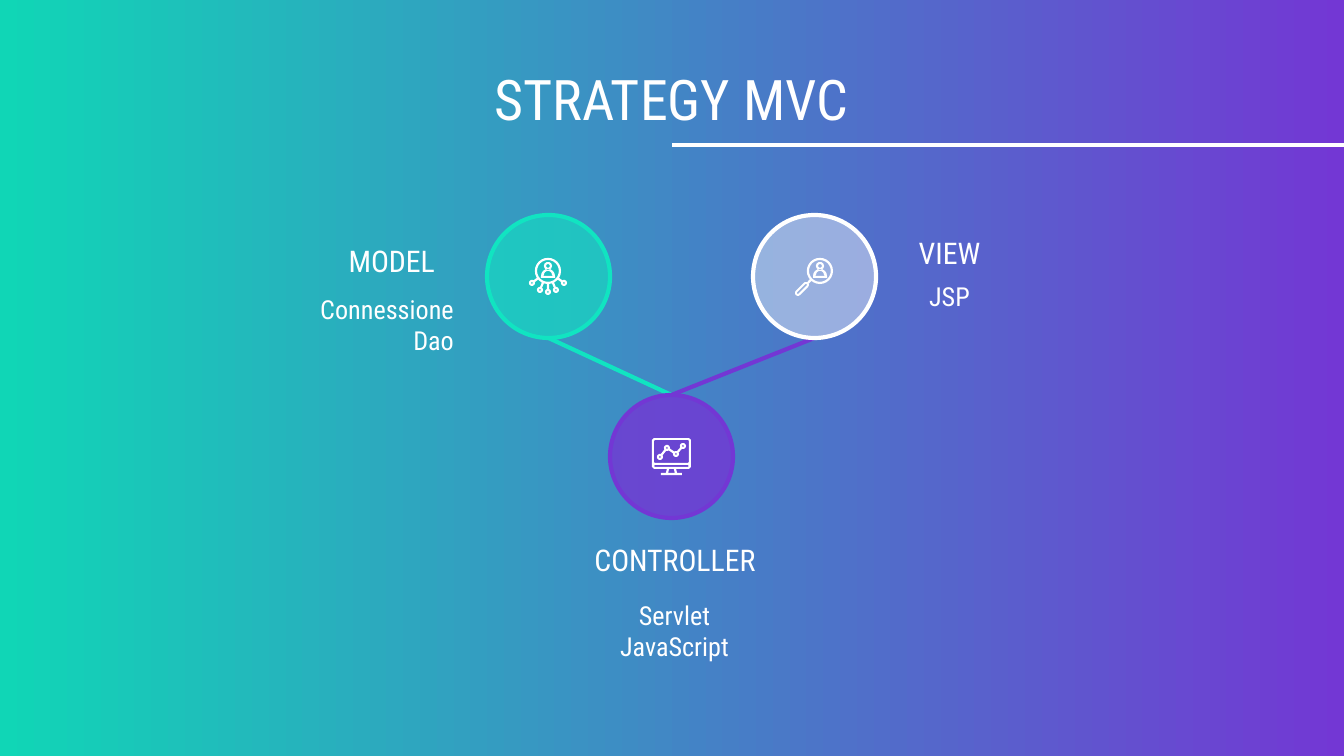
from dataclasses import dataclass
from math import atan2, cos, hypot, pi, sin

from lxml import etree
from pptx import Presentation
from pptx import util as u
from pptx.dml import color
from pptx.enum import shapes, text
from pptx.oxml import ns

PX = 9144000 / 1344
FONT = "Roboto Condensed"
COLORS = {"teal": "11E4C1", "purple": "7337D4", "white": "FFFFFF", "mint": "10D6B6"}
THICK = 2.25
DIAMETER, RING, DOT, HALF = 123, 12, 2, 1.1
ALIGN = text.PP_ALIGN
Point = tuple[float, float]
Contour = list[Point]


@dataclass
class Node:
    left: int
    top: int
    color: str
    alpha: int

    @property
    def bottom(self) -> Point:
        return self.left + DIAMETER / 2, self.top + DIAMETER


@dataclass
class Label:
    left: int
    top: int
    width: int
    height: int
    lines: tuple[str, ...]
    size: int
    align: ALIGN = ALIGN.CENTER
    inset: tuple[int, int, int, int] = (0, 1, 0, 0)
    anchor: text.MSO_ANCHOR = text.MSO_ANCHOR.TOP


def px(value: float) -> u.Emu:
    return u.Emu(round(value * PX))


def rgb(name: str) -> color.RGBColor:
    return color.RGBColor.from_string(COLORS[name])


def add_line(tree, start: Point, end: Point, name: str):
    sp = tree.add_connector(shapes.MSO_CONNECTOR.STRAIGHT, *map(px, (*start, *end)))
    sp.line.color.rgb = rgb(name)
    sp.line.width = u.Pt(THICK)
    etree.SubElement(sp._element.spPr, ns.qn("a:effectLst"))
    return sp


def add_node(tree, node: Node):
    box = map(px, (node.left, node.top, DIAMETER, DIAMETER))
    sp = tree.add_shape(shapes.MSO_SHAPE.OVAL, *box)
    sp.shadow.inherit = False
    sp.fill.solid()
    sp.fill.fore_color.rgb = rgb(node.color)
    clr = sp._element.spPr.find(ns.qn("a:solidFill"))[0]
    etree.SubElement(clr, ns.qn("a:alpha"), val=str(node.alpha * 1000))
    sp.line.color.rgb = rgb(node.color)
    sp.line.width = u.Pt(THICK)
    return sp


def arc(center: Point, radius: float, start: float, sweep: float, steps: int) -> Contour:
    angles = (start + sweep * i / steps for i in range(steps + 1))
    return [(center[0] + radius * cos(a), center[1] + radius * sin(a)) for a in angles]


def ring(center: Point, radius: int) -> list[Contour]:
    steps = 24 if radius > 5 else 10
    return [arc(center, r, 0, 2 * pi, steps)[:-1] for r in (radius + HALF, radius - HALF)]


def bar(a: Point, b: Point, trim_a: float = 0, trim_b: float = 0) -> Contour:
    d = hypot(b[0] - a[0], b[1] - a[1])
    ux, uy = (b[0] - a[0]) / d, (b[1] - a[1]) / d
    ends = ((trim_a, HALF), (d - trim_b, HALF), (d - trim_b, -HALF), (trim_a, -HALF))
    return [(a[0] + ux * t - uy * h, a[1] + uy * t + ux * h) for t, h in ends]


def capsule(a: Point, b: Point, radius: int) -> Contour:
    turn = atan2(b[1] - a[1], b[0] - a[0])
    return arc(b, radius, turn - pi / 2, pi, 6) + arc(a, radius, turn + pi / 2, pi, 6)


def panel(left: int, top: int, right: int, bottom: int, cut: int) -> Contour:
    return [(left + cut, top), (right - cut, top), (right, top + cut), (right, bottom - cut),
            (right - cut, bottom), (left + cut, bottom), (left, bottom - cut), (left, top + cut)]


def add_glyph(tree, contours: list[Contour]) -> None:
    scaled = [[(px(x), px(y)) for x, y in c] for c in contours]
    fb = tree.build_freeform(*scaled[0][0])
    for i, points in enumerate(scaled):
        if i:
            fb.move_to(*points[0])
        fb.add_line_segments(points[1:], close=True)
    sp = fb.convert_to_shape()
    sp.shadow.inherit = False
    sp.fill.solid()
    sp.fill.fore_color.rgb = rgb("white")
    sp.line.fill.background()


def person(center: Point) -> list[Contour]:
    x, y = center
    outer = [(x - 7, y + 7)] + arc((x, y + 5), 7, pi, pi, 8) + [(x + 7, y + 7)]
    inner = [(x - 5, y + 5)] + arc((x, y + 4), 4, pi, pi, 8) + [(x + 5, y + 5)]
    return ring((x, y - 5), 3) + [outer, inner]


def network_icon() -> list[list[Contour]]:
    center = (548, 271)
    hub = ring(center, RING)
    for dx, dy in ((-16, 12), (-8, 19), (0, 21), (8, 19), (16, 12)):
        dot = center[0] + dx, center[1] + dy
        hub += ring(dot, DOT) + [bar(center, dot, RING + HALF, DOT + HALF)]
    return [hub, person(center)]


def search_icon() -> list[list[Contour]]:
    center, low, high = (820, 271), (798, 293), (806, 285)
    lens = ring(center, RING) + [capsule(low, high, r) for r in (3, 1)]
    return [lens + [bar(high, center, 3, RING + HALF)], person(center)]


def monitor_icon() -> list[list[Contour]]:
    points = ((660, 457), (667, 448), (676, 454), (683, 446))
    graph = [c for point in points for c in ring(point, DOT)]
    graph += [bar(a, b, DOT + HALF, DOT + HALF) for a, b in zip(points, points[1:])]
    screen = [panel(652, 438, 691, 469, 2), panel(654, 440, 689, 463, 1),
              panel(654, 465, 689, 467, 1), bar((668, 469), (667, 473)),
              bar((675, 469), (676, 473)), bar((661, 474), (682, 474))]
    return [graph, screen]


def add_label(tree, label: Label) -> None:
    tf = tree.add_textbox(*map(px, (label.left, label.top, label.width, label.height))).text_frame
    left, top, right, bottom = map(px, label.inset)
    frame = {"word_wrap": True, "vertical_anchor": label.anchor, "margin_left": left,
             "margin_top": top, "margin_right": right, "margin_bottom": bottom}
    for key, value in frame.items():
        setattr(tf, key, value)
    for i, line in enumerate(label.lines):
        p = tf.add_paragraph() if i else tf.paragraphs[0]
        p.alignment = label.align
        r = p.add_run()
        r.text = line
        for key, value in {"name": FONT, "size": u.Pt(label.size)}.items():
            setattr(r.font, key, value)
        r.font.color.rgb = rgb("white")


MODEL = Node(487, 215, "teal", 60)
VIEW = Node(753, 215, "white", 43)
CONTROLLER = Node(610, 395, "purple", 81)
PADDED = (13, 13, 13, 13)
LABELS = (
    Label(91, 20, 1161, 125, ("STRATEGY MVC",), 30, inset=PADDED, anchor=text.MSO_ANCHOR.BOTTOM),
    Label(551, 541, 248, 75, ("CONTROLLER",), 16),
    Label(799, 234, 301, 38, ("VIEW",), 16),
    Label(250, 242, 185, 70, ("MODEL",), 16, ALIGN.RIGHT),
    Label(218, 280, 249, 86, ("Connessione", "Dao"), 14, ALIGN.RIGHT, PADDED),
    Label(546, 586, 257, 87, ("Servlet", "JavaScript"), 14, inset=PADDED),
    Label(904, 279, 91, 38, ("JSP",), 14),
)


def main() -> None:
    prs = Presentation()
    prs.slide_width, prs.slide_height = px(1344), px(756)
    s = prs.slides.add_slide(prs.slide_layouts[6])

    fill = s.background.fill
    fill.gradient()
    fill.gradient_angle = 0
    for stop, name, position in zip(fill.gradient_stops, ("mint", "purple"), (0, 1)):
        stop.color.rgb = rgb(name)
        stop.position = position

    add_line(s.shapes, (672, 145), (1344, 145), "white")
    top = CONTROLLER.left + DIAMETER / 2, CONTROLLER.top
    links = [add_line(s.shapes, node.bottom, top, name)
             for node, name in ((MODEL, "teal"), (VIEW, "purple"))]
    for node in (VIEW, MODEL):
        add_node(s.shapes, node)
    controller = add_node(s.shapes, CONTROLLER)
    for link in links:
        link.end_connect(controller, 0)

    for icon in (search_icon(), monitor_icon(), network_icon()):
        group = s.shapes.add_group_shape()
        for contours in icon:
            add_glyph(group.shapes, contours)
    for label in LABELS:
        add_label(s.shapes, label)
    prs.save("out.pptx")


if __name__ == "__main__":
    main()
